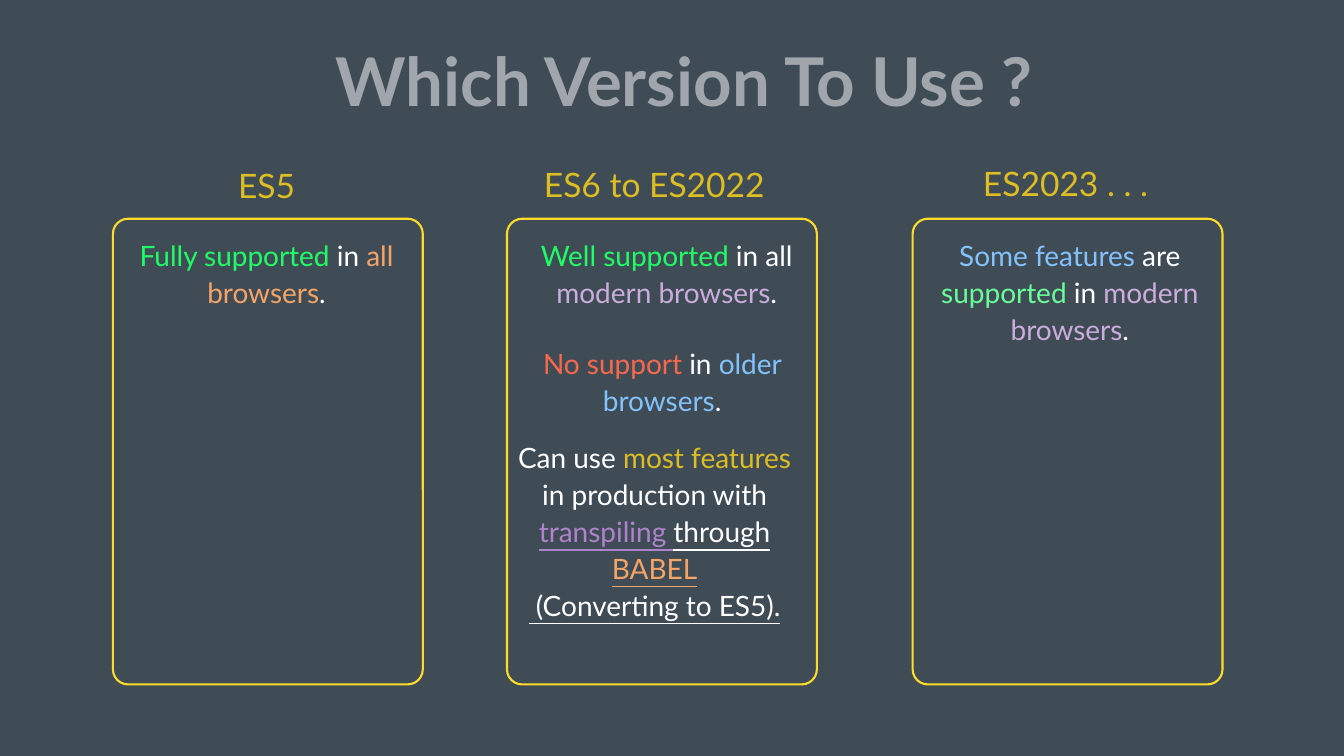
from dataclasses import dataclass

from pptx import Presentation
from pptx.dml.color import RGBColor
from pptx.enum import shapes, text
from pptx.util import Inches, Pt


@dataclass(frozen=True)
class Theme:
    font: str = "Lato"
    background: str = "404C55"
    frame: str = "FFDB2C"
    title: str = "A1A6AC"
    gold: str = "DCBD23"
    white: str = "FFFFFF"
    green: str = "1FFF66"
    mint: str = "69FF99"
    orange: str = "F4A467"
    lilac: str = "CAACDD"
    purple: str = "AF82CC"
    red: str = "FA694E"
    blue: str = "83C2FD"
    title_size: int = 96
    heading_size: int = 48
    body_size: int = 40


THEME = Theme()
CARD_WIDTH, CARD_HEIGHT, CARD_TOP = 6.15, 9.24, 4.34
NOTE_WIDTH, NOTE_TOP = 5.66, 4.62


def add_text(slide, box, paragraphs, size, bold=False, spacing=1.0,
             margins=(0.1, 0.05), anchor=text.MSO_ANCHOR.TOP):
    frame = slide.shapes.add_textbox(*map(Inches, box)).text_frame
    frame.word_wrap = True
    frame.auto_size = text.MSO_AUTO_SIZE.SHAPE_TO_FIT_TEXT
    frame.vertical_anchor = anchor
    frame.margin_left = frame.margin_right = Inches(margins[0])
    frame.margin_top = frame.margin_bottom = Inches(margins[1])
    for index, runs in enumerate(paragraphs):
        paragraph = frame.add_paragraph() if index else frame.paragraphs[0]
        paragraph.alignment = text.PP_ALIGN.CENTER
        paragraph.line_spacing = spacing
        for wording, color, *underline in runs:
            run = paragraph.add_run()
            run.text = wording
            run.font.name = THEME.font
            run.font.size = Pt(size)
            run.font.bold = bold
            run.font.underline = bool(underline)
            run.font.color.rgb = RGBColor.from_string(color)


def add_title(slide, wording):
    add_text(slide, (0.91, 1.08, 25.33, 1.29), [[(wording, THEME.title)]],
             THEME.title_size, bold=True, spacing=0.8, margins=(0, 0),
             anchor=text.MSO_ANCHOR.MIDDLE)


def add_card(slide, left):
    card = slide.shapes.add_shape(
        shapes.MSO_SHAPE.ROUNDED_RECTANGLE, Inches(left), Inches(CARD_TOP),
        Inches(CARD_WIDTH), Inches(CARD_HEIGHT))
    card.adjustments[0] = 0.049
    card.shadow.inherit = False
    card.fill.background()
    card.line.color.rgb = RGBColor.from_string(THEME.frame)
    card.line.width = Pt(3)


def add_heading(slide, wording, left, top, width):
    add_text(slide, (left, top, width, 0.91), [[(wording, THEME.gold)]],
             THEME.heading_size)


def add_note(slide, left, top, height, *paragraphs):
    add_text(slide, (left, top, NOTE_WIDTH, height), paragraphs,
             THEME.body_size, spacing=1.1)


def main():
    deck = Presentation()
    deck.slide_width, deck.slide_height = Inches(26.67), Inches(15)
    slide = deck.slides.add_slide(deck.slide_layouts[6])
    fill = slide.background.fill
    fill.solid()
    fill.fore_color.rgb = RGBColor.from_string(THEME.background)

    for left in (2.24, 10.06, 18.11):
        add_card(slide, left)

    add_title(slide, "Which Version To Use ?")
    add_heading(slide, "ES5", 4.25, 3.22, 2.08)
    add_heading(slide, "ES6 to ES2022", 10.4, 3.2, 5.17)
    add_heading(slide, "ES2023 . . . ", 17.13, 3.18, 8.2)

    white = THEME.white
    stop = (".", white)
    add_note(slide, 2.46, NOTE_TOP, 1.52, [
        ("Fully supported ", THEME.green), ("in ", white),
        ("all browsers", THEME.orange), stop])
    add_note(slide, 10.4, NOTE_TOP, 1.52, [
        ("Well supported ", THEME.green), ("in all ", white),
        ("modern browsers", THEME.lilac), stop])
    add_note(slide, 10.31, 6.76, 1.52, [
        ("No support ", THEME.red), ("in ", white),
        ("older browsers", THEME.blue), stop])
    add_note(slide, 10.16, 8.63, 4.48, [
        ("Can use ", white), ("most features ", THEME.gold),
        ("in production with ", white), ("transpiling ", THEME.purple, True),
        ("through ", white, True), ("BABEL", THEME.orange, True)],
        [(" (Converting to ES5).", white, True)])
    add_note(slide, 18.4, NOTE_TOP, 2.32, [
        ("Some features ", THEME.blue), ("are ", white),
        ("supported", THEME.mint), (" in ", white),
        ("modern browsers", THEME.lilac), stop])

    deck.save("out.pptx")


if __name__ == "__main__":
    main()
